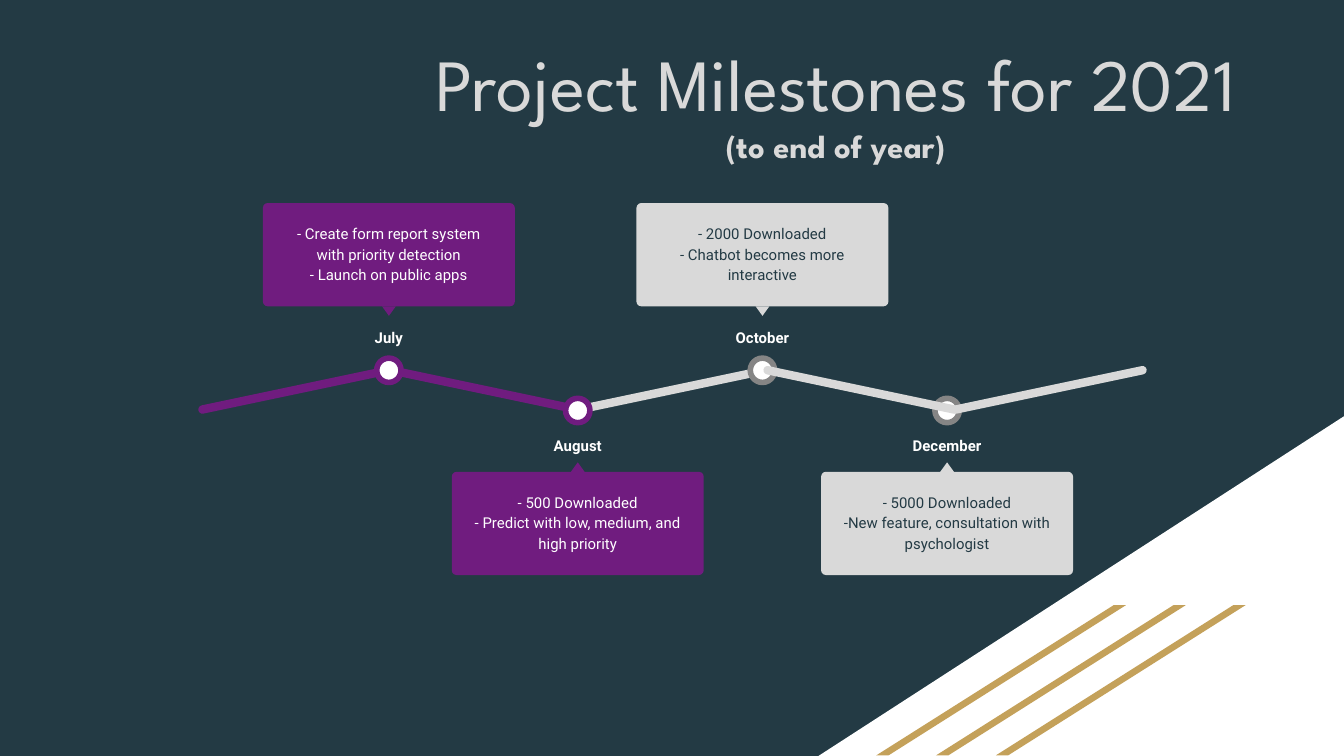
import lxml.etree
import pptx
import pptx.dml.color
import pptx.enum.shapes
import pptx.enum.text
import pptx.oxml.ns
import pptx.util

Cm = pptx.util.Cm
Pt = pptx.util.Pt
SHAPE = pptx.enum.shapes.MSO_SHAPE
ANCHOR = pptx.enum.text.MSO_ANCHOR
CENTER = pptx.enum.text.PP_ALIGN.CENTER

COLORS = {
    "night": "233A44",
    "white": "FFFFFF",
    "gold": "C4A15A",
    "silver": "D9D9D9",
    "gray": "858585",
    "purple": "701C7F",
}


def rgb(name):
    """Return the named colour."""
    return pptx.dml.color.RGBColor.from_string(COLORS[name])


def add_figure(page, kind, left, top, width, height, fill, adjust=None, turn=0):
    """Add a flat preset shape without outline."""
    figure = page.shapes.add_shape(kind, Cm(left), Cm(top), Cm(width), Cm(height))
    figure.shadow.inherit = False
    figure.fill.solid()
    figure.fill.fore_color.rgb = rgb(fill)
    figure.line.fill.background()
    figure.rotation = turn
    if adjust is not None:
        figure.adjustments[0] = adjust
    return figure


def style_paragraph(paragraph, size, font, color, bold=False):
    """Centre a paragraph and format its runs and line breaks."""
    paragraph.alignment = CENTER
    for span in paragraph.runs:
        span.font.size = Pt(size)
        span.font.name = font
        span.font.bold = bold
        span.font.color.rgb = rgb(color)
    qn = pptx.oxml.ns.qn
    for line_break in paragraph._p.findall(qn("a:br")):
        lxml.etree.SubElement(line_break, qn("a:rPr"), sz=str(int(size * 100)))


def add_text(page, text, left, top, width, height):
    """Add a wrapping text box with even insets and return its frame."""
    box = page.shapes.add_textbox(Cm(left), Cm(top), Cm(width), Cm(height))
    frame = box.text_frame
    frame.word_wrap = True
    frame.margin_left = frame.margin_right = Cm(0.25)
    frame.margin_top = frame.margin_bottom = Cm(0.25)
    frame.text = text
    return frame


def add_note(page, text, left, top, width, height, color, bold=False):
    """Add a small timeline text."""
    paragraph = add_text(page, text, left, top, width, height).paragraphs[0]
    paragraph.line_spacing = 1.15
    paragraph.space_after = Pt(16)
    style_paragraph(paragraph, 8, "Roboto", color, bold)


def add_corner(page):
    """Add the white corner with its gold stripes."""
    corner = add_figure(page, SHAPE.RIGHT_TRIANGLE, 15.47, 7.87, 9.93, 6.42, "white")
    corner._element.spPr.xfrm.set("flipH", "1")
    for index in range(3):
        add_figure(page, SHAPE.PARALLELOGRAM, 18.82 - 1.13 * index, 11.44,
                   4.72, 2.84, "gold", 1.58)


def add_title(page):
    """Add the heading and its second line."""
    frame = add_text(page, "Project Milestones for 2021\n(to end of year)",
                     6.05, 0, 19.48, 3.84)
    frame.vertical_anchor = ANCHOR.MIDDLE
    heading, subtitle = frame.paragraphs
    style_paragraph(heading, 39.4, "League Spartan", "silver")
    style_paragraph(subtitle, 17.4, "League Spartan", "silver", True)


def add_link(page, index, color):
    """Add one slanted bar of the zigzag, rising on even positions."""
    middle = 5.59 + 3.56 * index
    turn = 11.9 if index % 2 else -11.9
    add_figure(page, SHAPE.ROUNDED_RECTANGLE, middle - 1.88, 7.29,
               3.76, 0.16, color, 0.5, turn)


def add_milestone(page, month, text, middle, above, fill, ring, ink):
    """Add a dot with its month and callout above or below the zigzag."""
    if above:
        card, pointer, label, dot, turn = 3.84, 5.79, 5.97, 7.0, 180
    else:
        card, pointer, label, dot, turn = 8.92, 8.74, 8.0, 7.76, 0
    knob = add_figure(page, SHAPE.OVAL, middle - 0.23, dot - 0.23, 0.46, 0.46, "white")
    knob.line.color.rgb = rgb(ring)
    knob.line.width = Pt(3)
    add_note(page, month, middle - 0.97, label, 1.94, 0.76, "white", True)
    add_figure(page, SHAPE.ROUNDED_RECTANGLE, middle - 2.38, card,
               4.76, 1.95, fill, 0.045)
    add_figure(page, SHAPE.ISOSCELES_TRIANGLE, middle - 0.13, pointer,
               0.26, 0.18, fill, turn=turn)
    add_note(page, text, middle - 2.26, card + 0.11, 4.52, 1.73, ink)


def main():
    """Build the milestone slide and save it."""
    deck = pptx.Presentation()
    deck.slide_width, deck.slide_height = Cm(25.4), Cm(14.29)
    page = deck.slides.add_slide(deck.slide_layouts[6])
    page.background.fill.solid()
    page.background.fill.fore_color.rgb = rgb("night")
    add_corner(page)
    add_title(page)

    done = ("purple", "purple", "white")
    planned = ("silver", "gray", "night")
    add_link(page, 2, "silver")
    add_milestone(page, "October",
                  "- 2000 Downloaded\v- Chatbot becomes more interactive",
                  14.41, True, *planned)
    add_link(page, 1, "purple")
    add_milestone(page, "August",
                  "- 500 Downloaded\v- Predict with low, medium, and high priority",
                  10.92, False, *done)
    add_link(page, 0, "purple")
    add_milestone(page, "December",
                  "- 5000 Downloaded\v-New feature, consultation with psychologist",
                  17.9, False, *planned)
    add_link(page, 4, "silver")
    add_link(page, 3, "silver")
    add_milestone(page, "July",
                  "- Create form report system with priority detection"
                  "\v- Launch on public apps",
                  7.35, True, *done)
    deck.save("out.pptx")


if __name__ == "__main__":
    main()
